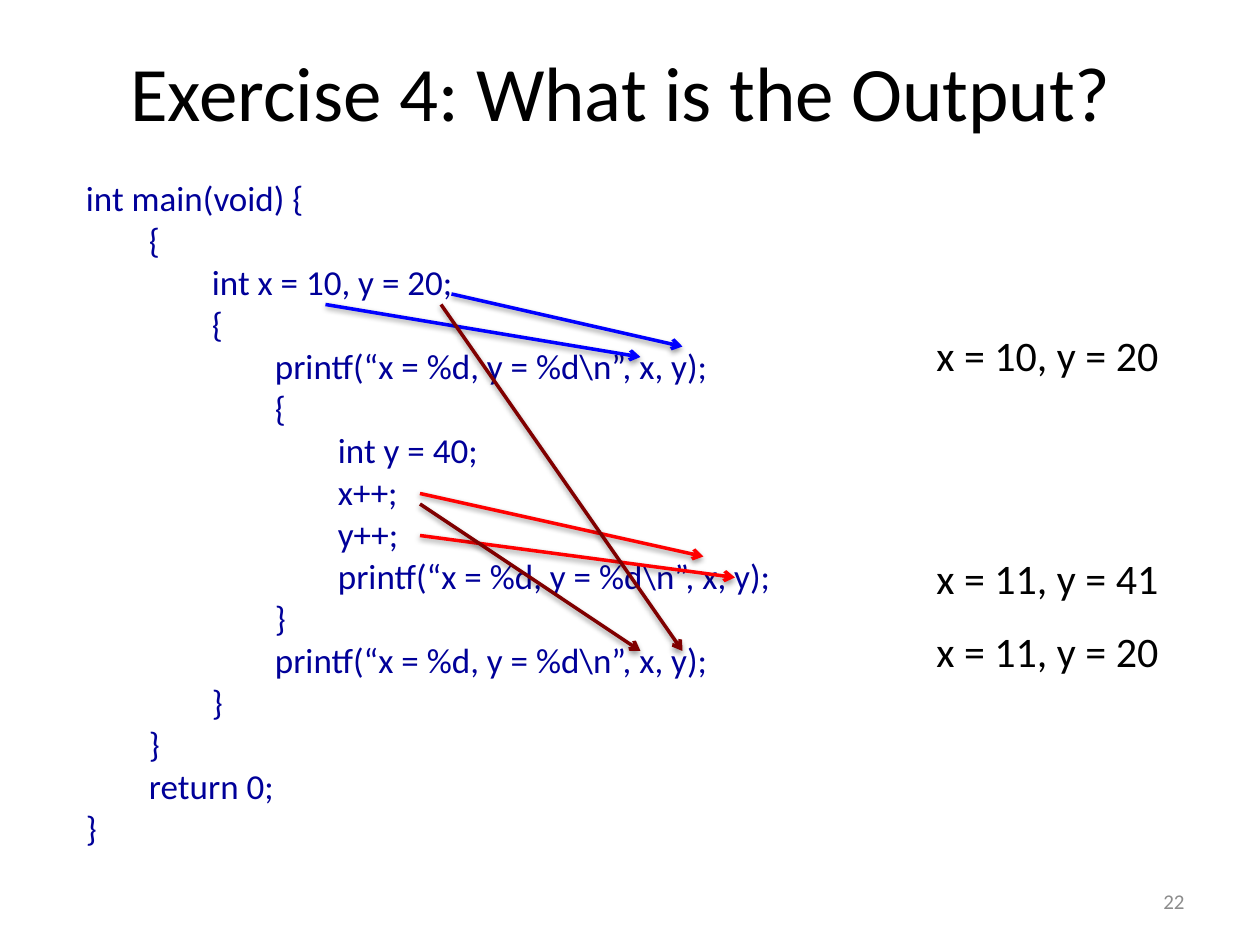
from dataclasses import dataclass

from lxml import etree
from pptx import Presentation
from pptx import util as u
from pptx.dml.color import RGBColor
from pptx.enum import shapes, text
from pptx.oxml import ns

PX = 7620  # EMU per px, 120 px to the inch


@dataclass(frozen=True)
class Theme:
    font: str = "Calibri"
    black: str = "000000"
    code: str = "000099"
    muted: str = "8C8C8C"
    outer_scope: str = "0000FF"
    inner_scope: str = "FF0000"
    after_block: str = "800000"
    title_size: int = 44
    output_size: int = 24
    code_size: int = 20
    number_size: int = 12
    line_width: int = 2


@dataclass(frozen=True)
class Label:
    content: str
    left: int
    top: int
    width: int
    height: int
    size: int
    color: str
    align: text.PP_ALIGN = text.PP_ALIGN.LEFT
    anchor: text.MSO_ANCHOR = text.MSO_ANCHOR.TOP


@dataclass(frozen=True)
class Arrow:
    start: tuple[int, int]
    end: tuple[int, int]
    color: str


THEME = Theme()
TAB_STEP = 60  # indent of one nesting level
TAB_LEVELS = 4

CODE = """int main(void) {
\t{
\t\tint x = 10, y = 20;
\t\t{
\t\t\tprintf(“x = %d, y = %d\\n”, x, y);
\t\t\t{
\t\t\t\tint y = 40;
\t\t\t\tx++;
\t\t\t\ty++;
\t\t\t\tprintf(“x = %d, y = %d\\n”, x, y);
\t\t\t}
\t\t\tprintf(“x = %d, y = %d\\n”, x, y);
\t\t}
\t}
\treturn 0;
}"""

TITLE = Label("Exercise 4: What is the Output? ", 60, 36, 1080, 150,
              THEME.title_size, THEME.black, text.PP_ALIGN.CENTER)
LISTING = Label(CODE, 70, 162, 980, 659, THEME.code_size, THEME.code)
NUMBER = Label("22", 860, 834, 280, 48, THEME.number_size, THEME.muted,
               text.PP_ALIGN.RIGHT, text.MSO_ANCHOR.MIDDLE)
OUTPUTS = [
    Label(content, 880, top, 260, 60, THEME.output_size, THEME.black)
    for content, top in [
        ("x = 10, y = 20", 308),
        ("x = 11, y = 41", 520),
        ("x = 11, y = 20", 590),
    ]
]

# Each arrow runs from where a value is set to where it is printed
ARROWS = [
    Arrow((400, 470), (670, 530), THEME.inner_scope),
    Arrow((400, 510), (700, 550), THEME.inner_scope),
    Arrow((310, 290), (610, 340), THEME.outer_scope),
    Arrow((430, 280), (650, 330), THEME.outer_scope),
    Arrow((400, 480), (610, 620), THEME.after_block),
    Arrow((420, 290), (650, 620), THEME.after_block),
]


def add_element(parent, tag: str, **attributes: str):
    element = etree.SubElement(parent, ns.qn(tag))
    for name, value in attributes.items():
        element.set(name, value)
    return element


def add_tab_stops(paragraph) -> None:
    tab_list = add_element(paragraph._p.get_or_add_pPr(), "a:tabLst")
    for level in range(1, TAB_LEVELS + 1):
        add_element(tab_list, "a:tab", pos=str(level * TAB_STEP * PX), algn="l")


def fill_text(shape, label: Label) -> None:
    shape.left, shape.top = label.left * PX, label.top * PX
    shape.width, shape.height = label.width * PX, label.height * PX
    frame = shape.text_frame
    frame.text = label.content
    frame.word_wrap = True
    frame.auto_size = text.MSO_AUTO_SIZE.NONE
    frame.vertical_anchor = label.anchor
    for paragraph in frame.paragraphs:
        paragraph.alignment = label.align
        if "\t" in paragraph.text:
            add_tab_stops(paragraph)
        for run in paragraph.runs:
            run.font.name = THEME.font
            run.font.size = u.Pt(label.size)
            run.font.color.rgb = RGBColor.from_string(label.color)


def add_label(slide, label: Label) -> None:
    fill_text(slide.shapes.add_textbox(0, 0, 0, 0), label)


def add_arrow(slide, arrow: Arrow) -> None:
    ends = [value * PX for value in arrow.start + arrow.end]
    connector = slide.shapes.add_connector(shapes.MSO_CONNECTOR.STRAIGHT, *ends)
    connector.line.width = u.Pt(THEME.line_width)
    connector.line.color.rgb = RGBColor.from_string(arrow.color)
    add_element(connector.line._get_or_add_ln(), "a:tailEnd", type="arrow")
    # Soft shadow straight below the line
    effects = add_element(connector._element.spPr, "a:effectLst")
    shadow = add_element(effects, "a:outerShdw", blurRad="40000", dist="20000",
                         dir="5400000", rotWithShape="0")
    color = add_element(shadow, "a:srgbClr", val=THEME.black)
    add_element(color, "a:alpha", val="38000")


def main() -> None:
    presentation = Presentation()
    presentation.slide_width, presentation.slide_height = 1200 * PX, 900 * PX
    slide = presentation.slides.add_slide(presentation.slide_layouts[5])

    # Title, program and printed results
    fill_text(slide.shapes.title, TITLE)
    for label in [NUMBER, LISTING, *OUTPUTS]:
        add_label(slide, label)

    # Data flow
    for arrow in ARROWS:
        add_arrow(slide, arrow)

    presentation.save("out.pptx")


if __name__ == "__main__":
    main()
